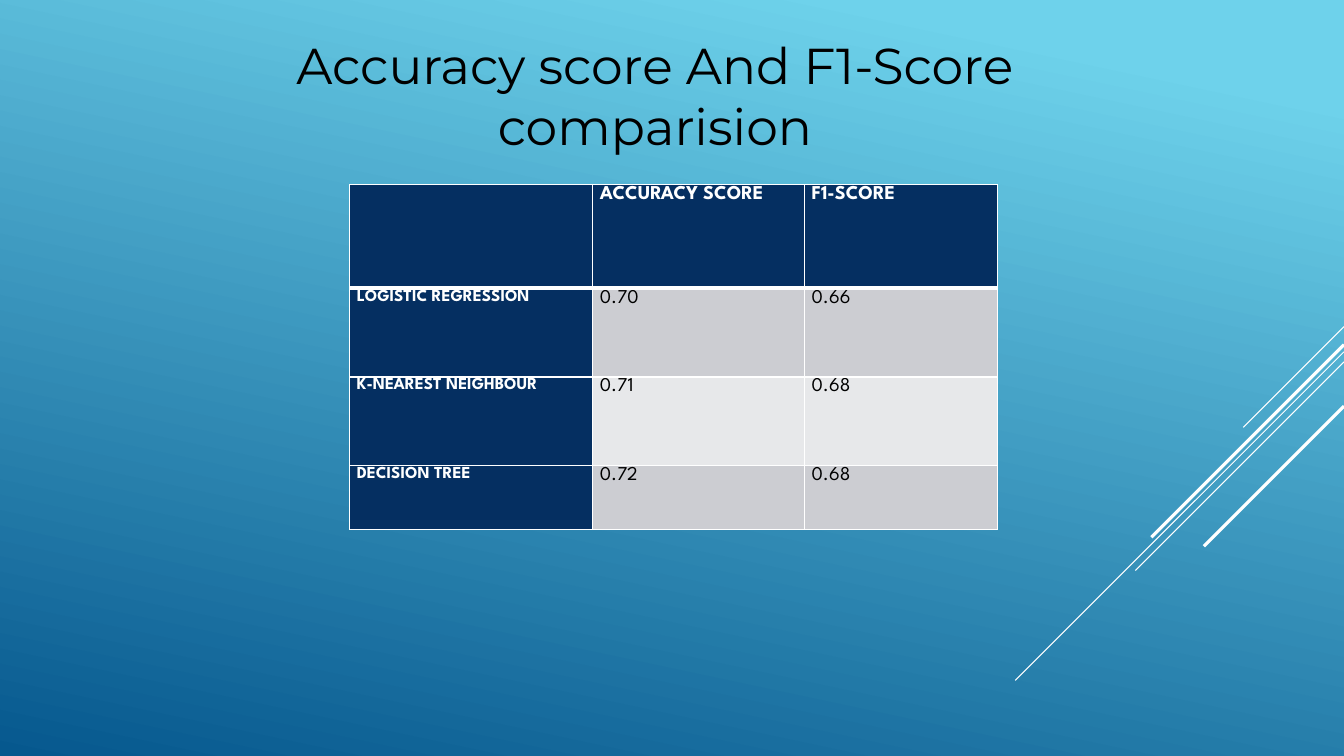
from pptx import Presentation
from pptx.dml.color import RGBColor as RGB
from pptx.enum.shapes import MSO_CONNECTOR as LINK
from pptx.enum.text import MSO_ANCHOR as ANCHOR, MSO_AUTO_SIZE as AUTO, PP_ALIGN as ALIGN
from pptx.oxml.ns import qn
from pptx.util import Inches, Pt
from lxml.etree import SubElement as Sub

HUES = {"sky": "6ED2EB", "sea": "06588E", "navy": "052F61", "white": "FFFFFF",
        "black": "000000", "dark": "CCCDD2", "light": "E7E8EA"}

EDGE = 13.33
# start height on the right edge, run to the left and down, width in points
RAYS = [(3.24, 1, 0.75), (3.49, 3.26, 0.75), (3.59, 2.07, 0.75),
        (3.42, 1.91, 2.25), (4.03, 1.39, 2.25)]

SCORES = [("", "ACCURACY SCORE", "F1-SCORE"),
          ("LOGISTIC REGRESSION", "0.70", "0.66"),
          ("K-NEAREST NEIGHBOUR", "0.71", "0.68"),
          ("DECISION TREE", "0.72", "0.68")]
COLS = [2.41, 2.1, 1.91]
ROWS = [1.03, 0.88, 0.88, 0.63]


def hue(name):
    """Return the named colour."""
    return RGB.from_string(HUES[name])


def set_font(para, face, size, tint, bold=False):
    """Format a whole paragraph."""
    font = para.font
    font.name, font.size, font.bold = face, Pt(size), bold
    font.color.rgb = hue(tint)


def paint_back(slide):
    """Fill the background with a gradient from sky to sea."""
    fill = slide.background.fill
    fill.gradient()
    fill.gradient_angle = 360 - 102
    for stop, (place, tint) in zip(fill.gradient_stops, [(0.1, "sky"), (1, "sea")]):
        stop.position = place
        stop.color.rgb = hue(tint)


def add_ray(slide, top, run, width):
    """Draw a diagonal line down and left from the right edge."""
    ray = slide.shapes.add_connector(LINK.STRAIGHT, Inches(EDGE), Inches(top),
                                     Inches(EDGE - run), Inches(top + run))
    ray.line.color.rgb = hue("white")
    ray.line.width = Pt(width)
    Sub(ray._element.spPr, qn("a:effectLst"))


def set_title(slide, text):
    """Place and format the title."""
    title = slide.shapes.title
    title.left, title.top = Inches(1.47), Inches(0.29)
    title.width, title.height = Inches(10.05), Inches(1.31)
    frame = title.text_frame
    frame.text = text
    frame.word_wrap = True
    frame.auto_size = AUTO.SHAPE_TO_FIT_TEXT
    frame.vertical_anchor = ANCHOR.TOP
    para = frame.paragraphs[0]
    para.alignment = ALIGN.CENTER
    set_font(para, "Montserrat", 36, "black")


def add_edge(cell, side, width):
    """Draw a white border on one side of a cell."""
    line = Sub(cell._tc.get_or_add_tcPr(), qn("a:ln" + side), w=str(Pt(width)))
    Sub(Sub(line, qn("a:solidFill")), qn("a:srgbClr"), val=HUES["white"])


def set_cell(cell, text, row, col):
    """Fill, frame and write one cell by its place in the table."""
    head = row == 0 or col == 0
    thick = {(0, "B"), (1, "T")}
    for side in "LRTB":
        add_edge(cell, side, 3 if (row, side) in thick else 1)
    cell.fill.solid()
    cell.fill.fore_color.rgb = hue("navy" if head else "dark" if row % 2 else "light")
    cell.margin_left = cell.margin_right = Inches(0.07)
    cell.margin_top = cell.margin_bottom = 0
    cell.text = text
    para = cell.text_frame.paragraphs[0]
    para.alignment = ALIGN.JUSTIFY
    para.line_spacing = 1.07
    size = 12 if row and col == 0 else 14
    set_font(para, "League Spartan", size, "white" if head else "black", head)


def add_scores(slide):
    """Build the table of scores."""
    table = slide.shapes.add_table(len(ROWS), len(COLS), Inches(3.47), Inches(1.83),
                                   Inches(sum(COLS)), Inches(sum(ROWS))).table
    for col, width in zip(table.columns, COLS):
        col.width = Inches(width)
    for row, height in zip(table.rows, ROWS):
        row.height = Inches(height)
    for row, texts in enumerate(SCORES):
        for col, text in enumerate(texts):
            set_cell(table.cell(row, col), text, row, col)


def main():
    """Build and save the slide."""
    deck = Presentation()
    deck.slide_width, deck.slide_height = Inches(EDGE), Inches(7.5)
    slide = deck.slides.add_slide(deck.slide_layouts[5])
    paint_back(slide)
    for ray in RAYS:
        add_ray(slide, *ray)
    add_scores(slide)
    set_title(slide, "Accuracy score And F1-Score comparision")
    deck.save("out.pptx")


main()
